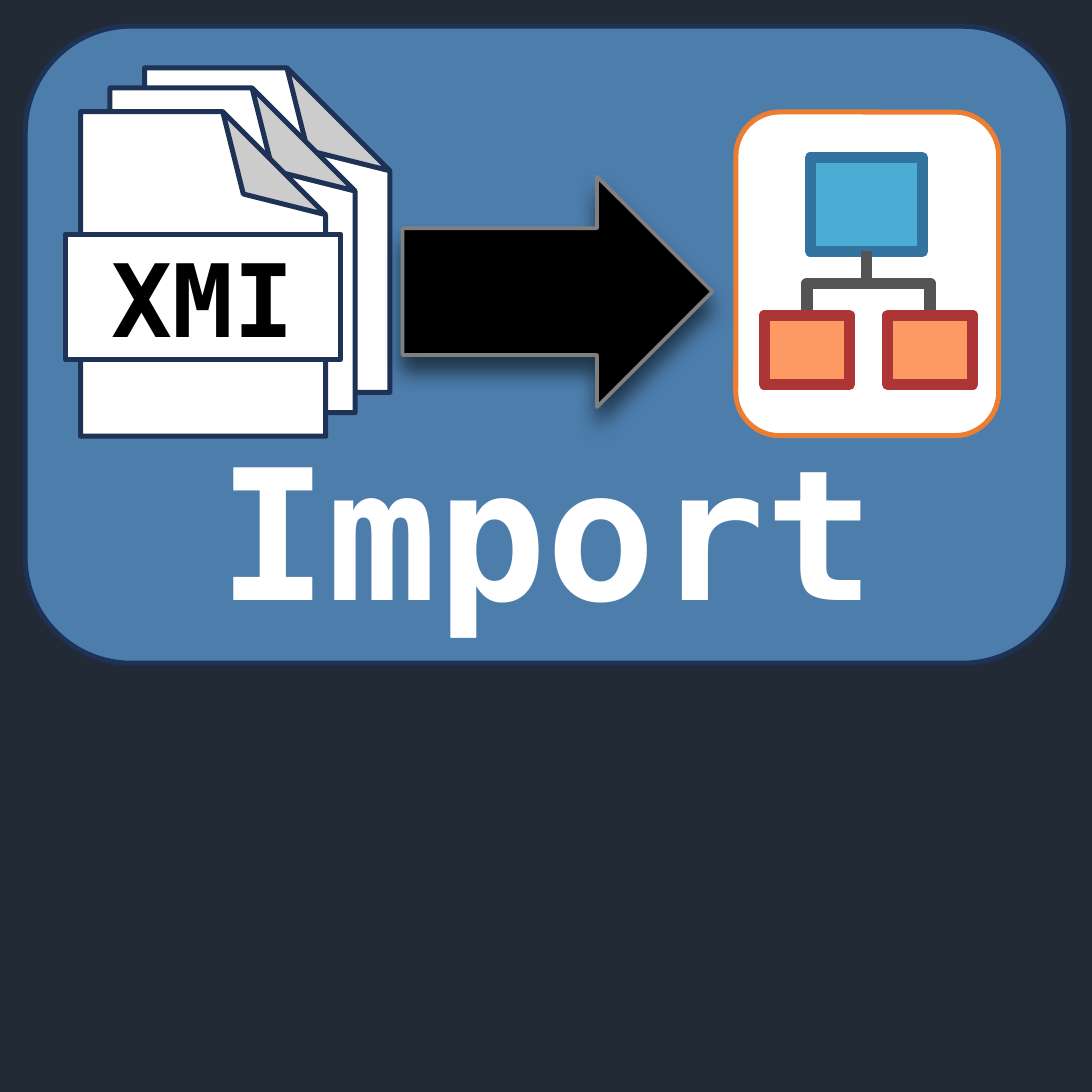
from lxml import etree
from pptx import Presentation
from pptx.dml.color import RGBColor
from pptx.enum.shapes import MSO_CONNECTOR, MSO_SHAPE
from pptx.enum.text import MSO_ANCHOR, MSO_AUTO_SIZE, PP_ALIGN
from pptx.oxml.ns import qn
from pptx.util import Pt

ROUNDED = MSO_SHAPE.ROUNDED_RECTANGLE
RECTANGLE = MSO_SHAPE.RECTANGLE
FOLDED = MSO_SHAPE.FOLDED_CORNER
ARROW = MSO_SHAPE.RIGHT_ARROW
ELBOW = MSO_CONNECTOR.ELBOW
MIDDLE = MSO_ANCHOR.MIDDLE
CENTER = PP_ALIGN.CENTER
NO_AUTOFIT = MSO_AUTO_SIZE.NONE

NIGHT = RGBColor(0x22, 0x2A, 0x35)
PANEL_BLUE = RGBColor(0x4C, 0x7D, 0xAB)
NAVY = RGBColor(0x1E, 0x32, 0x56)
WHITE = RGBColor(0xFF, 0xFF, 0xFF)
BLACK = RGBColor(0x00, 0x00, 0x00)
GRAY = RGBColor(0x80, 0x80, 0x80)
DARK_GRAY = RGBColor(0x54, 0x54, 0x54)
ORANGE = RGBColor(0xED, 0x7D, 0x31)
SKY = RGBColor(0x4C, 0xAD, 0xD4)
STEEL = RGBColor(0x33, 0x73, 0xA0)
PEACH = RGBColor(0xFD, 0x99, 0x62)
RED = RGBColor(0xAD, 0x35, 0x35)

FONT = "DejaVu Sans Mono"
TITLE = "Import"
FORMAT_LABEL = "XMI"
SLIDE_SIDE = 216
PANEL = (5, 5.2, 206.4, 126)
TITLE_BOX = (5, 90.7, 206.4, 27.4)
SHEET_CORNERS = [(28.6, 13.4), (21.7, 17.4), (15.9, 22.1)]
SHEET_SIZE = (48.5, 64.2)
LABEL_BOX = (12.9, 46.3, 54.5, 24.8)
ARROW_BOX = (79.6, 34.9, 61.3, 45.6)
CARD = (145.6, 22.2, 52, 64)
ROOT = (160.3, 31.2, 22.2, 18.5)
LEAF_LEFTS = [151.2, 175.6]
LEAF_TOP = 62.4
LEAF_SIZE = (16.8, 13.7)


def add_block(page, kind, bounds, fill, line, weight=1):
    block = page.shapes.add_shape(kind, *map(Pt, bounds))
    block.shadow.inherit = False
    block.fill.solid()
    block.fill.fore_color.rgb = fill
    block.line.color.rgb = line
    block.line.width = Pt(weight)
    return block


def add_sheet(page, corner):
    sheet = add_block(page, FOLDED, corner + SHEET_SIZE, WHITE, NAVY)
    sheet.rotation = 180
    properties = sheet._element.spPr
    properties.find(qn("a:xfrm")).set("flipH", "1")
    guides = properties.find(qn("a:prstGeom")).find(qn("a:avLst"))
    etree.SubElement(guides, qn("a:gd"), name="adj", fmla="val 42000")


def add_branch(page, start, end):
    (start_x, start_y), (end_x, end_y) = start, end
    run, drop = abs(end_x - start_x), end_y - start_y
    left = (start_x + end_x - drop) / 2
    top = (start_y + end_y - run) / 2
    branch = page.shapes.add_connector(
        ELBOW, Pt(left), Pt(top), Pt(left + drop), Pt(top + run))
    branch.line.color.rgb = DARK_GRAY
    branch.line.width = Pt(2.25)
    properties = branch._element.spPr
    etree.SubElement(properties, qn("a:effectLst"))
    frame = properties.find(qn("a:xfrm"))
    if end_x < start_x:
        frame.set("rot", str(90 * 60000))
    else:
        frame.set("rot", str(270 * 60000))
        frame.set("flipH", "1")


def add_shadow(shape):
    effects = shape._element.spPr.find(qn("a:effectLst"))
    shadow = etree.SubElement(
        effects, qn("a:outerShdw"), blurRad=str(Pt(4)), dist=str(Pt(3)),
        dir=str(90 * 60000), algn="ctr", rotWithShape="0")
    color = etree.SubElement(shadow, qn("a:srgbClr"), val=str(BLACK))
    etree.SubElement(color, qn("a:alpha"), val="56000")


def set_text(box, text, size, color):
    frame = box.text_frame
    frame.text = text
    frame.auto_size = NO_AUTOFIT
    frame.word_wrap = True
    frame.vertical_anchor = MIDDLE
    frame.margin_left = frame.margin_right = 0
    frame.margin_top = frame.margin_bottom = 0
    para = frame.paragraphs[0]
    para.alignment = CENTER
    font = para.runs[0].font
    font.name = FONT
    font.size = Pt(size)
    font.bold = True
    font.color.rgb = color


def add_diagram(page):
    add_block(page, ROUNDED, CARD, WHITE, ORANGE)
    add_block(page, RECTANGLE, ROOT, SKY, STEEL, 2.25)
    left, top, width, height = ROOT
    root_foot = (left + width / 2, top + height)
    for leaf_left in LEAF_LEFTS:
        leaf_head = (leaf_left + LEAF_SIZE[0] / 2, LEAF_TOP)
        add_branch(page, root_foot, leaf_head)
    for leaf_left in LEAF_LEFTS:
        bounds = (leaf_left, LEAF_TOP) + LEAF_SIZE
        add_block(page, RECTANGLE, bounds, PEACH, RED, 2.25)


def main():
    deck = Presentation()
    deck.slide_width = deck.slide_height = Pt(SLIDE_SIDE)
    page = deck.slides.add_slide(deck.slide_layouts[5])
    page.background.fill.solid()
    page.background.fill.fore_color.rgb = NIGHT

    add_block(page, ROUNDED, PANEL, PANEL_BLUE, NAVY)
    for corner in SHEET_CORNERS:
        add_sheet(page, corner)
    label = add_block(page, RECTANGLE, LABEL_BOX, WHITE, NAVY)
    set_text(label, FORMAT_LABEL, 20, BLACK)
    add_diagram(page)

    arrow = add_block(page, ARROW, ARROW_BOX, BLACK, GRAY, 0.75)
    arrow.adjustments[0] = 0.55
    arrow.adjustments[1] = 0.5
    add_shadow(arrow)

    title = page.shapes.title
    title.left, title.top, title.width, title.height = map(Pt, TITLE_BOX)
    set_text(title, TITLE, 36, WHITE)
    page.shapes._spTree.append(title._element)

    deck.save("out.pptx")


if __name__ == "__main__":
    main()
